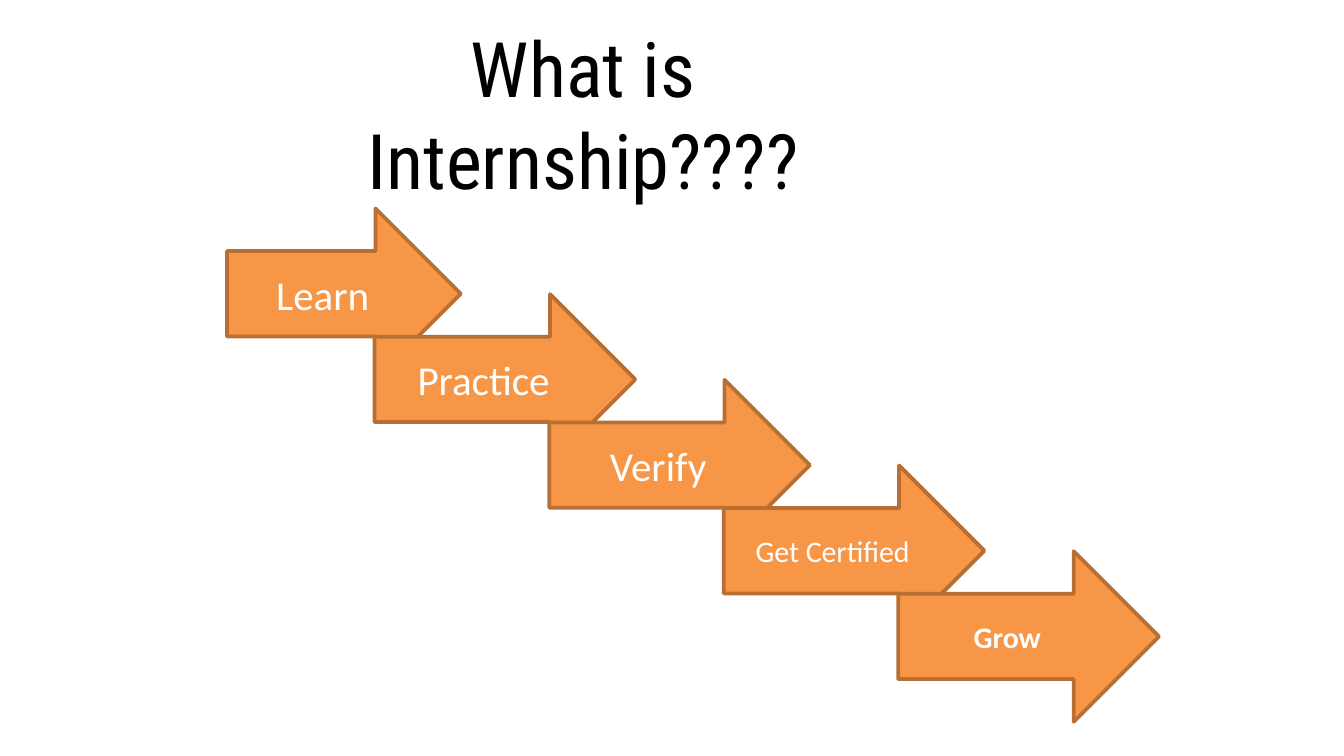
import pptx
import pptx.util
import pptx.dml.color
import pptx.enum.shapes
import pptx.enum.text

Pt = pptx.util.Pt
COLOURS = {"background": "FFFFFF", "title": "000000", "arrow": "F79646",
           "outline": "B76F34", "label": "FFFFFF"}
STEPS = [
    ("Learn", 125.3, 22, False),
    ("Practice", 139.7, 22, False),
    ("Verify", 139.7, 22, False),
    ("Get Certified", 139.7, 16, False),
    ("Grow", 139.7, 16, True),
]
FIRST_TIP, FIRST_TOP = 246.9, 111.7
STEP_RIGHT, STEP_DOWN = 93.5, 45.9
ARROW_HEIGHT = 91.4


def colour(name):
    """Return the named colour."""
    return pptx.dml.color.RGBColor.from_string(COLOURS[name])


def write_text(shape, text, *, size, font, fill, bold=False, inset=None):
    """Write centred, wrapped text into a shape."""
    frame = shape.text_frame
    frame.word_wrap = True
    frame.auto_size = pptx.enum.text.MSO_AUTO_SIZE.NONE
    frame.vertical_anchor = pptx.enum.text.MSO_ANCHOR.MIDDLE
    if inset is not None:
        frame.margin_left = frame.margin_right = Pt(inset)
        frame.margin_top = frame.margin_bottom = Pt(inset)
    paragraph = frame.paragraphs[0]
    paragraph.alignment = pptx.enum.text.PP_ALIGN.CENTER
    run = paragraph.add_run()
    run.text = text
    run.font.size = Pt(size)
    run.font.name = font
    run.font.bold = bold
    run.font.color.rgb = colour(fill)


def format_title(slide, text):
    """Place and fill the title placeholder."""
    title = slide.shapes.title
    title.left, title.top = Pt(146.2), Pt(20.9)
    title.width, title.height = Pt(332.6), Pt(79.2)
    write_text(title, text, size=41, font="Roboto Condensed", fill="title", inset=0)


def add_arrow(group, left, top, width, label, size, bold):
    """Add one labelled step arrow to the group."""
    arrow = group.shapes.add_shape(
        pptx.enum.shapes.MSO_SHAPE.RIGHT_ARROW,
        Pt(left), Pt(top), Pt(width), Pt(ARROW_HEIGHT))
    arrow.shadow.inherit = False
    arrow.fill.solid()
    arrow.fill.fore_color.rgb = colour("arrow")
    arrow.line.color.rgb = colour("outline")
    arrow.line.width = Pt(2)
    write_text(arrow, label, size=size, font="Calibri", fill="label", bold=bold)


def add_staircase(slide):
    """Add the descending arrows, with evenly stepped tips."""
    group = slide.shapes.add_group_shape()
    for index, (label, width, size, bold) in enumerate(STEPS):
        left = FIRST_TIP + index * STEP_RIGHT - width
        top = FIRST_TOP + index * STEP_DOWN
        add_arrow(group, left, top, width, label, size, bold)


def main():
    """Build and save the slide."""
    presentation = pptx.Presentation()
    presentation.slide_width, presentation.slide_height = Pt(720), Pt(405)
    slide = presentation.slides.add_slide(presentation.slide_layouts[5])
    slide.background.fill.solid()
    slide.background.fill.fore_color.rgb = colour("background")
    format_title(slide, "What is Internship????")
    add_staircase(slide)
    presentation.save("out.pptx")


main()
